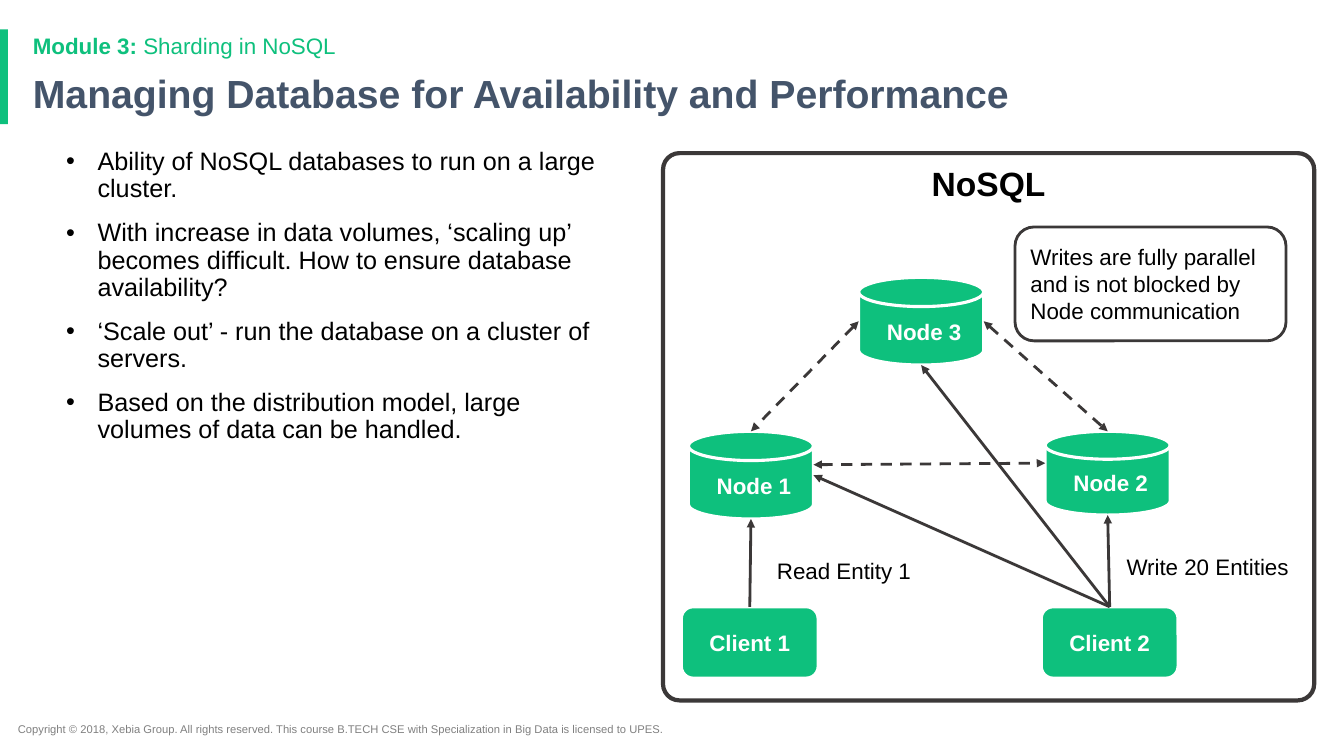
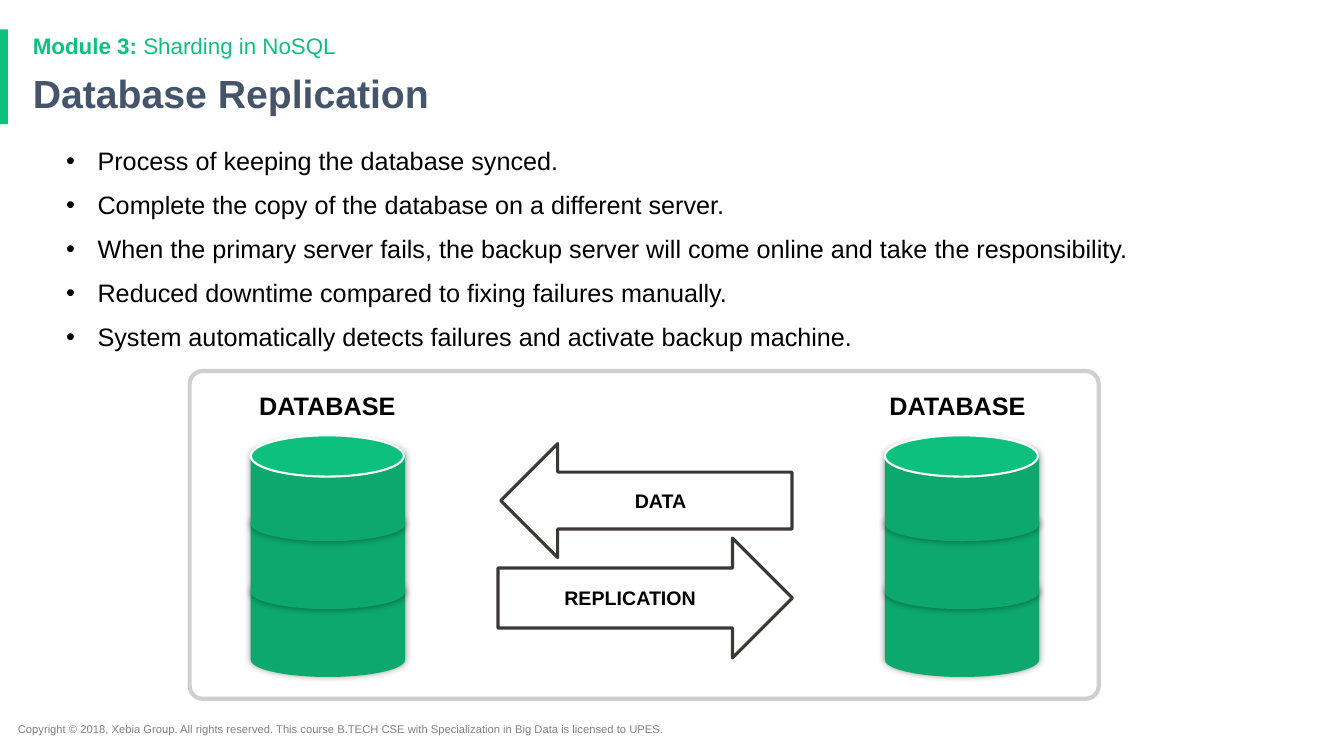
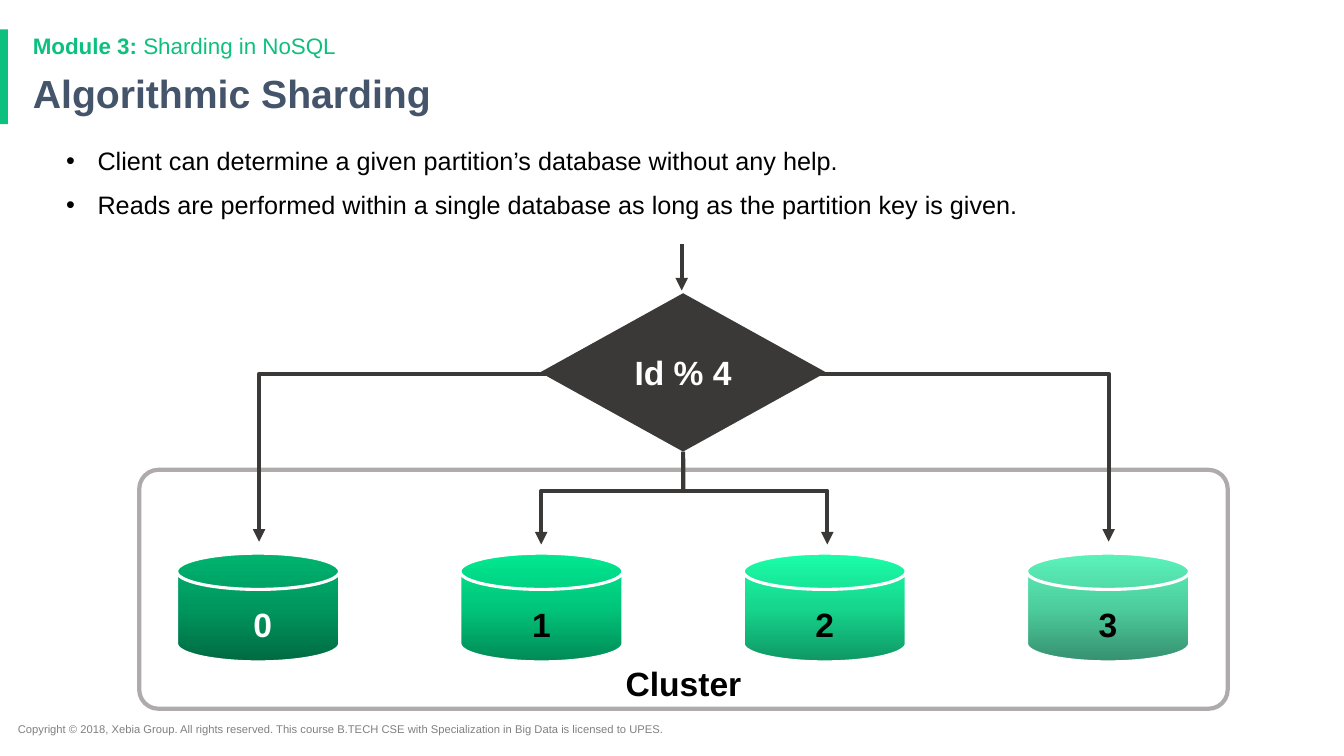
from copy import deepcopy
from dataclasses import dataclass

from lxml import etree
from pptx import Presentation
from pptx.dml.color import RGBColor
from pptx.enum import dml, shapes, text
from pptx.oxml.ns import qn
from pptx.util import Cm, Pt

GREEN = RGBColor(0x0E, 0xC0, 0x7D)
DEEP_GREEN = RGBColor(0x0C, 0xA8, 0x6D)
SLATE = RGBColor(0x44, 0x54, 0x6A)
CHARCOAL = RGBColor(0x3B, 0x38, 0x38)
GREY = RGBColor(0x80, 0x80, 0x80)
MID_GREY = RGBColor(0xAF, 0xAB, 0xAB)
LIGHT_GREY = RGBColor(0xD0, 0xCE, 0xCE)
BLACK = RGBColor(0, 0, 0)
WHITE = RGBColor(0xFF, 0xFF, 0xFF)
# Each shard: bottom, middle and top colour of its disk
SHARD_COLOURS = [
    [RGBColor.from_string(code) for code in codes.split()]
    for codes in ("006A42 00975E 00B470", "018A56 01C57A 01E991",
                  "0F9663 16D68D 1AFEA8", "36906F 4DCD9D 5BF3BB")
]

FONT = "Arial"
KIND = shapes.MSO_SHAPE
DISK = KIND.FLOWCHART_MAGNETIC_DISK
TOP, BOTTOM, MIDDLE = text.MSO_ANCHOR.TOP, text.MSO_ANCHOR.BOTTOM, text.MSO_ANCHOR.MIDDLE
LEFT, CENTER = text.PP_ALIGN.LEFT, text.PP_ALIGN.CENTER

COPYRIGHT = ("Copyright © 2018, Xebia Group. All rights reserved. This course "
             "B.TECH CSE with Specialization in Big Data is licensed to UPES.")


def set_all(target, values):
    for name, value in values.items():
        setattr(target, name, value)


def add_run(paragraph, words, size, color, bold):
    run = paragraph.add_run()
    run.text = words
    set_all(run.font, {"name": FONT, "size": Pt(size), "bold": bold})
    run.font.color.rgb = color


def write(shape, lines, size, color=BLACK, bold=False, align=LEFT, **frame_format):
    """Fill a shape with one paragraph per line and return the paragraphs."""
    frame = shape.text_frame
    set_all(frame, {"word_wrap": True, "vertical_anchor": MIDDLE, **frame_format})
    for number, words in enumerate(lines):
        paragraph = frame.add_paragraph() if number else frame.paragraphs[0]
        paragraph.alignment = align
        add_run(paragraph, words, size, color, bold)
    return frame.paragraphs


def stroke(shape, color, weight, dash=None, heads=()):
    """Draw the outline; heads names the ends that carry an arrow."""
    shape.line.color.rgb = color
    shape.line.width = Pt(weight)
    if dash:
        shape.line.dash_style = dash
    outline = shape._element.spPr.find(qn("a:ln"))
    for end in heads:
        etree.SubElement(outline, qn(f"a:{end}"), type="triangle")


def spot(shape, across, down):
    """Point at the given fractions of a shape's width and height."""
    return (int(shape.left + across * shape.width),
            int(shape.top + down * shape.height))


@dataclass
class Region:
    """Part of a slide whose contents are placed in cm from its top left."""
    slide: object
    left: float
    top: float
    width: float
    height: float

    def point(self, x, y):
        return Cm(self.left + x), Cm(self.top + y)

    def shape(self, kind, x, y, width, height, fill=None, line=None, weight=2.25):
        shape = self.slide.shapes.add_shape(
            kind, *self.point(x, y), Cm(width), Cm(height))
        shape.shadow.inherit = False
        if fill is None:
            shape.fill.background()
        else:
            shape.fill.solid()
            shape.fill.fore_color.rgb = fill
        if line is None:
            shape.line.fill.background()
        else:
            stroke(shape, line, weight)
        return shape

    def frame(self, y, height, rounding, **style):
        """Rounded panel over the full width."""
        panel = self.shape(KIND.ROUNDED_RECTANGLE, 0, y, self.width, height,
                           weight=3, **style)
        panel.adjustments[0] = rounding
        return panel

    def text(self, x, y, width, height, lines, size, **style):
        box = self.slide.shapes.add_textbox(
            *self.point(x, y), Cm(width), Cm(height))
        return write(box, lines, size, **style)


def connect(slide, start, end, weight=2, dash=None, heads=("tailEnd",)):
    connector = slide.shapes.add_connector(
        shapes.MSO_CONNECTOR.STRAIGHT, *start, *end)
    stroke(connector, CHARCOAL, weight, dash, heads)
    etree.SubElement(connector._element.spPr, qn("a:effectLst"))
    return connector


def draw_header(region, title):
    region.shape(KIND.RECTANGLE, 0, 0, 0.2, region.height, fill=GREEN)
    module, = region.text(0.58, 0.02, 29.21, 0.84, ["Module 3:"], 16,
                          color=GREEN, bold=True, vertical_anchor=TOP)
    add_run(module, " Sharding in NoSQL", 16, GREEN, False)
    heading, = region.text(0.58, 1.01, 29.21, 1.37, [title], 28,
                           color=SLATE, bold=True, vertical_anchor=TOP)
    for paragraph in (module, heading):
        paragraph.line_spacing = 0.9


def draw_bullets(region, points):
    for paragraph in region.text(0, 0, region.width, region.height, points, 18,
                                 vertical_anchor=TOP):
        properties = paragraph._p.get_or_add_pPr()
        properties.set("marL", str(Cm(0.79)))
        properties.set("indent", str(-Cm(0.79)))
        etree.SubElement(properties, qn("a:buFont"), typeface=FONT)
        etree.SubElement(properties, qn("a:buChar"), char="•")
        set_all(paragraph, {"line_spacing": 0.9, "space_after": Pt(12)})


def new_slide(deck, title, points, bullets_width=28.55):
    slide = deck.slides.add_slide(deck.slide_layouts[6])
    draw_header(Region(slide, 0, 0.74, 33.87, 2.39), title)
    draw_bullets(Region(slide, 1.42, 3.63, bullets_width, 13.44), points)
    Region(slide, 0.2, 18.08, 18.11, 0.61).text(
        0, 0, 18.11, 0.61, [COPYRIGHT], 8, color=GREY, vertical_anchor=TOP)
    return slide


def draw_nodes_and_clients(region):
    slide = region.slide
    panel = region.frame(0, region.height, 0.03, line=CHARCOAL)
    write(panel, ["NoSQL"], 24, bold=True, align=CENTER, vertical_anchor=TOP)

    nodes = {}
    for number, x, y, height in ((3, 4.93, 3.13, 2.21), (1, 0.64, 7.01, 2.21),
                                 (2, 9.63, 7.01, 2.11)):
        nodes[number] = region.shape(DISK, x, y, 3.15, height, GREEN, WHITE)
        write(nodes[number], [f" Node {number}"], 16, color=WHITE, bold=True,
              align=CENTER, vertical_anchor=BOTTOM)

    clients = {}
    for number, x in ((1, 0.46), (2, 9.53)):
        clients[number] = region.shape(KIND.ROUNDED_RECTANGLE, x, 11.43, 3.45, 1.8,
                                       GREEN, WHITE)
        write(clients[number], [f"Client {number}"], 16, color=WHITE, bold=True,
              align=CENTER)

    remark = region.shape(KIND.ROUNDED_RECTANGLE, 8.87, 1.86, 6.83, 2.87,
                          line=CHARCOAL, weight=2)
    write(remark, ["Writes are fully parallel and is not blocked by "
                   "Node communication"], 16)
    region.text(2.62, 9.45, 4.19, 2.13, ["Read Entity 1"], 16)
    region.text(11.43, 9.35, 4.8, 2.13, ["Write 20 Entities"], 16)

    for client, node, across, down in ((1, 1, 0.5, 1), (2, 2, 0.5, 1),
                                       (2, 1, 1, 0.5), (2, 3, 0.5, 1)):
        request = connect(slide, spot(clients[client], 0.5, 0),
                          spot(nodes[node], across, down))
        request.begin_connect(clients[client], 0)

    for start, end in ((spot(nodes[3], 0, 0.5), spot(nodes[1], 0.5, 0)),
                       (spot(nodes[3], 1, 0.5), spot(nodes[2], 0.5, 0)),
                       (spot(nodes[1], 1, 0.38), spot(nodes[2], 0, 0.38))):
        connect(slide, start, end, dash=dml.MSO_LINE.DASH,
                heads=("headEnd", "tailEnd"))


def add_glow(shape):
    """Soft black shadow on all sides."""
    effects = shape._element.spPr.find(qn("a:effectLst"))
    shadow = etree.SubElement(effects, qn("a:outerShdw"), blurRad=str(Pt(5)),
                              dist="0", dir="0", algn="ctr", rotWithShape="0")
    color = etree.SubElement(shadow, qn("a:srgbClr"), val=str(BLACK))
    etree.SubElement(color, qn("a:alpha"), val="40000")


def draw_database(region, caption_shift):
    for level in (2, 1, 0):
        add_glow(region.shape(DISK, 0, 1.7 + 1.71 * level, region.width, 2.59,
                              DEEP_GREEN))
    region.shape(KIND.OVAL, 0, 1.62, 3.86, 1.04, GREEN, WHITE, 1.5)
    region.text(caption_shift, 0.35, 4.06, 1.02, ["DATABASE"], 18, bold=True,
                align=CENTER, vertical_anchor=TOP, word_wrap=False)


def draw_replication(region):
    region.frame(0, region.height, 0.04, fill=WHITE, line=LIGHT_GREY)
    for x, caption_shift in ((1.54, -0.1), (17.52, -0.2)):
        draw_database(Region(region.slide, region.left + x, region.top,
                             3.89, region.height), caption_shift)
    for words, kind, *box in (("DATA", KIND.LEFT_ARROW, 7.84, 1.83, 7.34, 2.87),
                              ("REPLICATION", KIND.RIGHT_ARROW,
                               7.77, 4.21, 7.42, 3.02)):
        arrow = region.shape(kind, *box, WHITE, CHARCOAL)
        write(arrow, [words], 14, bold=True, align=CENTER)


def shade(shape, colors):
    """Gradient from the bottom colour up to the top colour."""
    shape.fill.gradient()
    shape.fill.gradient_angle = 90
    stops = shape._element.spPr.find(".//" + qn("a:gsLst"))
    stops.insert(1, deepcopy(stops[0]))
    for stop, position, color in zip(shape.fill.gradient_stops, (0, 0.5, 1), colors):
        stop.position = position
        stop.color.rgb = color


def draw_fork(region, left, right, top, bottom):
    """Bar with an arrow down at each end."""
    corners = [region.point(x, y) for x, y in
               ((left, bottom), (left, top), (right, top), (right, bottom))]
    builder = region.slide.shapes.build_freeform(*corners[0], scale=1.0)
    builder.add_line_segments(corners[1:], close=False)
    fork = builder.convert_to_shape()
    fork.shadow.inherit = False
    fork.fill.background()
    stroke(fork, CHARCOAL, 3, heads=("headEnd", "tailEnd"))


def draw_sharding(region):
    label = {"bold": True, "align": CENTER}
    at_bottom = {**label, "vertical_anchor": BOTTOM, "margin_bottom": 0}
    cluster = region.frame(5.69, 6.02, 0.08, line=MID_GREY)
    write(cluster, ["Cluster"], 24, **at_bottom)
    for number, colors in enumerate(SHARD_COLOURS):
        shard = region.shape(DISK, 0.94 + 7.14 * number, 7.79, 4.11, 2.74, line=WHITE)
        shade(shard, colors)
        write(shard, [str(number) if number else " 0"], 24,
              color=BLACK if number else WHITE, **at_bottom)

    draw_fork(region, 3.02, 24.43, 3.27, 7.5)
    decision = region.shape(KIND.FLOWCHART_DECISION, 10.1, 1.24, 7.21, 3.99, CHARCOAL)
    write(decision, ["Id % 4"], 24, color=WHITE, **label)
    draw_fork(region, 10.13, 17.34, 6.22, 7.57)
    connect(region.slide, region.point(13.67, 0), region.point(13.67, 1.17), weight=3)
    stem = connect(region.slide, spot(decision, 0.5, 1), region.point(13.71, 6.22),
                   weight=3, heads=())
    stem.begin_connect(decision, 2)


def main():
    deck = Presentation()
    deck.slide_width, deck.slide_height = Cm(33.87), Cm(19.05)

    slide = new_slide(deck, "Managing Database for Availability and Performance", [
        "Ability of NoSQL databases to run on a large cluster.",
        "With increase in data volumes, ‘scaling up’ becomes difficult. "
        "How to ensure database availability?",
        "‘Scale out’ - run the database on a cluster of servers.",
        "Based on the distribution model, large volumes of data can be handled.",
    ], bullets_width=14.2)
    draw_nodes_and_clients(Region(slide, 16.71, 3.86, 16.41, 13.79))

    slide = new_slide(deck, "Database Replication", [
        "Process of keeping the database synced.",
        "Complete the copy of the database on a different server.",
        "When the primary server fails, the backup server will come online "
        "and take the responsibility.",
        "Reduced downtime compared to fixing failures manually.",
        "System automatically detects failures and activate backup machine.",
    ])
    draw_replication(Region(slide, 4.78, 9.35, 22.91, 8.26))

    slide = new_slide(deck, "Algorithmic Sharding", [
        "Client can determine a given partition’s database without any help.",
        "Reads are performed within a single database as long as the "
        "partition key is given.",
    ])
    draw_sharding(Region(slide, 3.51, 6.15, 27.43, 11.71))

    deck.save("out.pptx")


if __name__ == "__main__":
    main()
